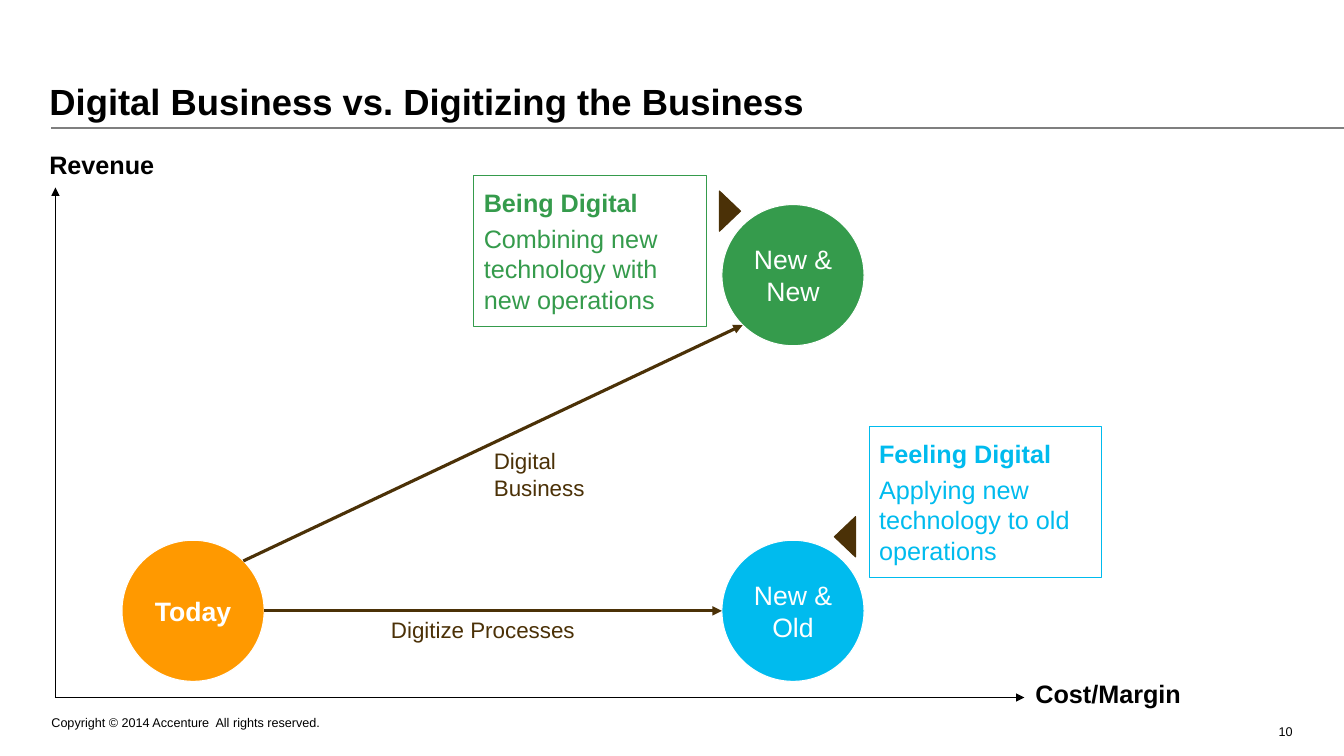
from math import sqrt

from lxml import etree
from pptx import Presentation
from pptx.dml.color import RGBColor
from pptx.enum.shapes import MSO_CONNECTOR, MSO_SHAPE
from pptx.enum.text import MSO_ANCHOR, PP_ALIGN
from pptx.oxml.ns import qn
from pptx.util import Inches, Pt

LEFT, CENTER, RIGHT = PP_ALIGN.LEFT, PP_ALIGN.CENTER, PP_ALIGN.RIGHT
TOP, MIDDLE, BOTTOM = MSO_ANCHOR.TOP, MSO_ANCHOR.MIDDLE, MSO_ANCHOR.BOTTOM
OVAL, RECTANGLE = MSO_SHAPE.OVAL, MSO_SHAPE.RECTANGLE
TRIANGLE = MSO_SHAPE.ISOSCELES_TRIANGLE
STRAIGHT = MSO_CONNECTOR.STRAIGHT

BLACK, WHITE, GRAY = "000000", "FFFFFF", "7F7F7F"
GREEN, BLUE, ORANGE, BROWN = "359B4C", "00BBEE", "FF9900", "4B3107"

PAGE_WIDTH, PAGE_HEIGHT = 13.33, 7.5
COLUMNS = {"old": 1.21, "new": 7.16}
ROWS = {"high": 2.03, "low": 5.36}
CIRCLE_WIDTH, CIRCLE_HEIGHT = 1.41, 1.4
CALLOUT_SIZE = (2.31, 1.5)
POINTER_SIZE = (0.4, 0.21)
ORIGIN_X, ORIGIN_Y = 0.55, 6.92
AXIS_TOP, AXIS_RIGHT = 1.86, 10.16
RULE_Y = 1.27

DEFAULT_INSETS = (0.1, 0.05, 0.1, 0.05)
CIRCLE_INSETS = (0, 0.05, 0, 0.05)

# text, frame, size, bold, colour, alignment, anchor, insets
LABELS = [
    ("Digital Business vs. Digitizing the Business", (0.49, 0.12, 12.31, 1.1),
     26, True, BLACK, LEFT, BOTTOM, (0, 0.05, 0, 0)),
    ("Copyright © 2014 Accenture  All rights reserved.", (0.51, 6.92, 5.29, 0.5),
     9, False, BLACK, LEFT, MIDDLE, (0, 0.05, 0.1, 0.05)),
    ("10", (12.02, 7.19, 0.8, 0.14),
     9, False, BLACK, RIGHT, MIDDLE, (0.1, 0.05, 0, 0.05)),
    ("Revenue", (0.39, 1.43, 1.52, 0.49),
     18, True, BLACK, LEFT, TOP, DEFAULT_INSETS),
    ("Cost/Margin", (10.17, 6.68, 1.75, 0.42),
     18, True, BLACK, LEFT, TOP, DEFAULT_INSETS),
    ("Digitize Processes", (3.78, 6.06, 2.1, 0.37),
     16, False, BROWN, LEFT, TOP, DEFAULT_INSETS),
    ("Digital Business", (4.8, 4.39, 1.28, 0.64),
     16, False, BROWN, LEFT, TOP, DEFAULT_INSETS),
]

# text, column, row, colour, bold
CIRCLES = [
    ("Today", "old", "low", ORANGE, True),
    ("New & New", "new", "high", GREEN, False),
    ("New & Old", "new", "low", BLUE, False),
]

# heading, body, left and top, colour
CALLOUTS = [
    ("Feeling Digital", "Applying new technology to old operations",
     (8.62, 4.23), BLUE),
    ("Being Digital", "Combining new technology with new operations",
     (4.7, 1.74), GREEN),
]

# left and top before turning, rotation
POINTERS = [((8.18, 5.22), 270), ((7.04, 1.99), 90)]


def color(value):
    return RGBColor.from_string(value)


def apply(target, values):
    for name, value in values.items():
        setattr(target, name, value)


def set_frame(box, anchor, insets):
    sides = ("margin_left", "margin_top", "margin_right", "margin_bottom")
    apply(box.text_frame, {"word_wrap": True, "vertical_anchor": anchor})
    apply(box.text_frame, dict(zip(sides, map(Inches, insets))))


def write(para, text, size, bold, hue, alignment=LEFT):
    para.alignment = alignment
    span = para.add_run()
    span.text = text
    apply(span.font, {"name": "Arial", "size": Pt(size), "bold": bold})
    span.font.color.rgb = color(hue)


def add_label(page, text, frame, size, bold, hue, alignment, anchor, insets):
    box = page.shapes.add_textbox(*map(Inches, frame))
    set_frame(box, anchor, insets)
    write(box.text_frame.paragraphs[0], text, size, bold, hue, alignment)


def add_figure(page, kind, corner, size, fill, outline):
    shape = page.shapes.add_shape(kind, *map(Inches, corner + size))
    shape.shadow.inherit = False
    shape.fill.solid()
    shape.fill.fore_color.rgb = color(fill)
    shape.line.color.rgb = color(outline)
    shape.line.width = Pt(0.75)
    return shape


def add_line(page, start, end, hue, width, arrow=True):
    line = page.shapes.add_connector(STRAIGHT, *map(Inches, start + end))
    line.line.color.rgb = color(hue)
    line.line.width = Pt(width)
    if arrow:
        outline = line.line._get_or_add_ln()
        etree.SubElement(outline, qn("a:tailEnd"), type="triangle")
    etree.SubElement(line._element.spPr, qn("a:effectLst"))


def circle_point(column, row, across, down):
    """Point on a circle's edge; across and down are shares of its radii."""
    return (COLUMNS[column] + CIRCLE_WIDTH / 2 * (1 + across),
            ROWS[row] + CIRCLE_HEIGHT / 2 * (1 + down))


def main():
    deck = Presentation()
    deck.slide_width, deck.slide_height = Inches(PAGE_WIDTH), Inches(PAGE_HEIGHT)
    page = deck.slides.add_slide(deck.slide_layouts[6])

    add_line(page, (0.51, RULE_Y), (PAGE_WIDTH, RULE_Y), GRAY, 1, arrow=False)
    for end in [(ORIGIN_X, AXIS_TOP), (AXIS_RIGHT, ORIGIN_Y)]:
        add_line(page, (ORIGIN_X, ORIGIN_Y), end, BLACK, 1)

    for text, column, row, hue, bold in CIRCLES:
        circle = add_figure(page, OVAL, (COLUMNS[column], ROWS[row]),
                            (CIRCLE_WIDTH, CIRCLE_HEIGHT), hue, WHITE)
        set_frame(circle, MIDDLE, CIRCLE_INSETS)
        write(circle.text_frame.paragraphs[0], text, 19, bold, WHITE, CENTER)

    diagonal = sqrt(0.5)
    add_line(page, circle_point("old", "low", 1, 0),
             circle_point("new", "low", -1, 0), BROWN, 2.25)
    add_line(page, circle_point("old", "low", diagonal, -diagonal),
             circle_point("new", "high", -diagonal, diagonal), BROWN, 2.25)

    for heading, body, corner, hue in CALLOUTS:
        callout = add_figure(page, RECTANGLE, corner, CALLOUT_SIZE, WHITE, hue)
        set_frame(callout, MIDDLE, DEFAULT_INSETS)
        first = callout.text_frame.paragraphs[0]
        first.space_after = Pt(4)
        write(first, heading, 18, True, hue)
        write(callout.text_frame.add_paragraph(), body, 18, False, hue)

    for corner, rotation in POINTERS:
        pointer = add_figure(page, TRIANGLE, corner, POINTER_SIZE, BROWN, BROWN)
        pointer.rotation = rotation

    for label in LABELS:
        add_label(page, *label)

    deck.save("out.pptx")


if __name__ == "__main__":
    main()
